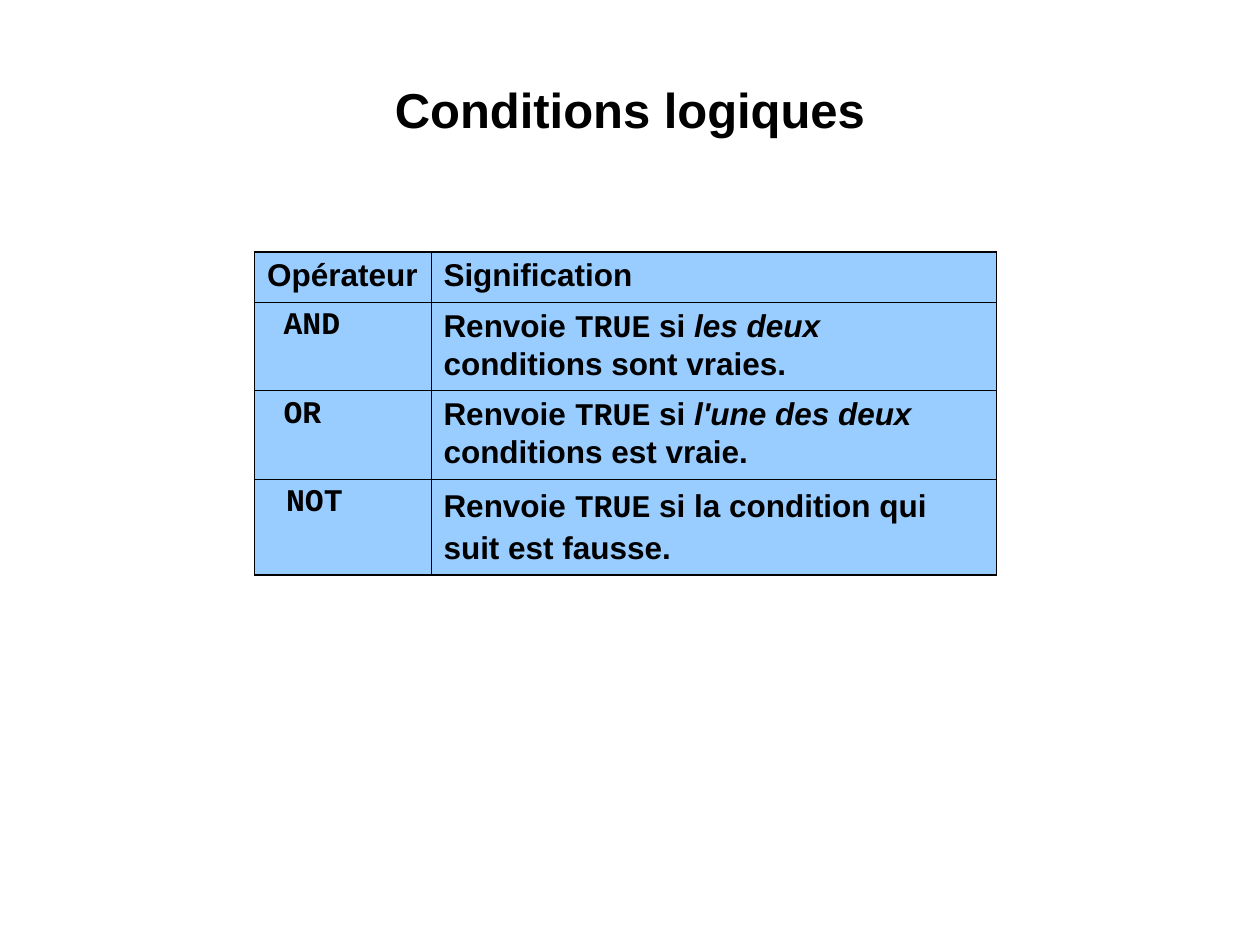
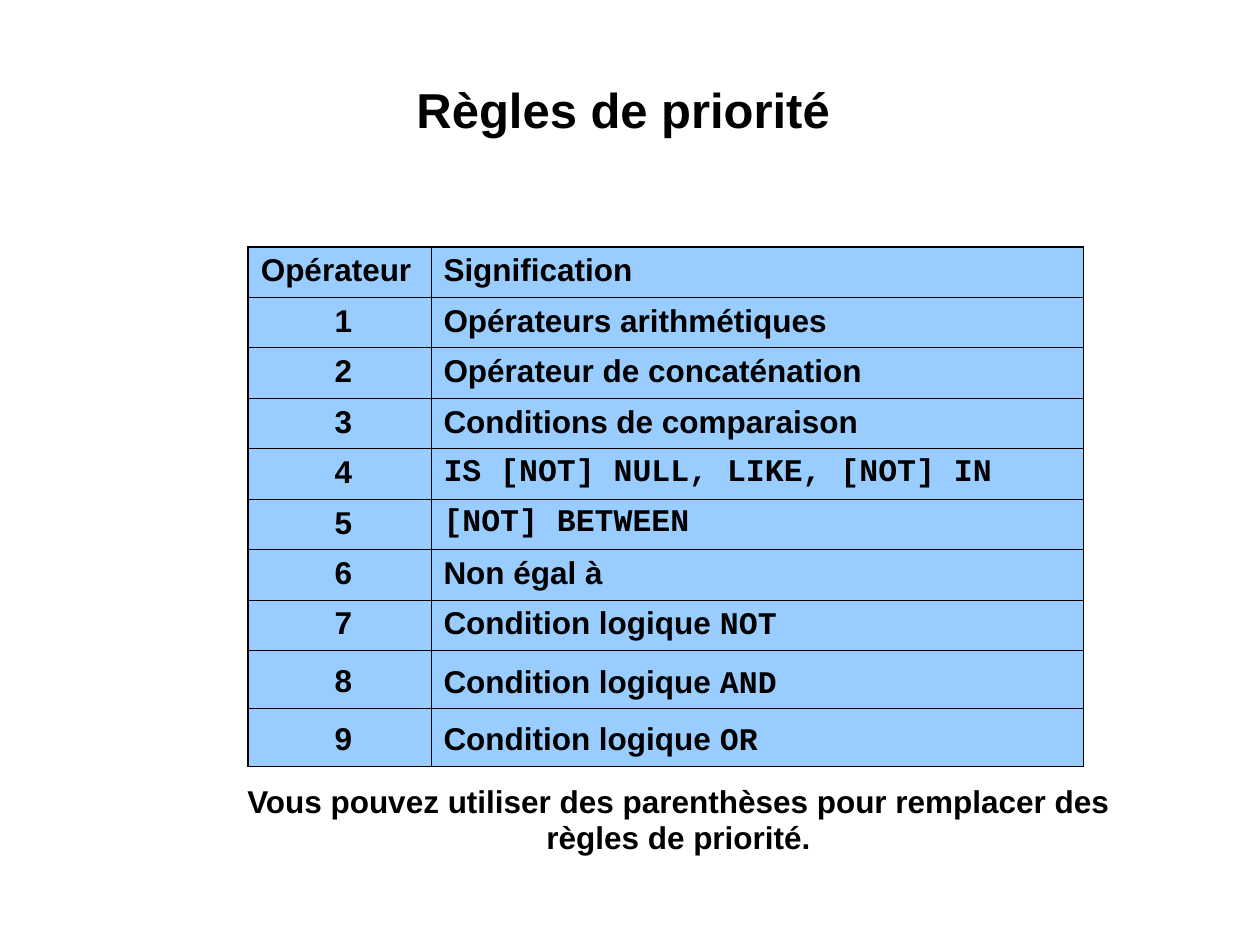
from lxml.etree import SubElement
from pptx import Presentation
from pptx.dml.color import RGBColor
from pptx.enum.text import MSO_ANCHOR, PP_ALIGN
from pptx.oxml.ns import qn
from pptx.util import Inches, Pt

# Character formats used inside the texts
CODE = {"name": "Courier New"}
ITALIC = {"italic": True}
# Paragraph formats
TIGHT = {"space_before": Pt(4.5)}
CENTERED = {"alignment": PP_ALIGN.CENTER}
HEADINGS = ("Opérateur", "Signification")


def rgb(hex_color):
    return RGBColor.from_string(hex_color)


class Deck:
    """Style of the course and the slide being built."""

    INK = "000000"
    CELL_FILL = "99CCFF"
    FONT = {"name": "Arial", "bold": True}
    OUTER, INNER = Pt(1.08), Pt(0.45)

    def __init__(self):
        self.presentation = Presentation()
        self.presentation.slide_width = Inches(10)
        self.presentation.slide_height = Inches(7.5)
        self.slide = None

    def new_slide(self, heading):
        blank = self.presentation.slide_layouts[6]
        self.slide = self.presentation.slides.add_slide(blank)
        self.text_box(heading, (1, 0.58, 8, 0.96), 28,
                      CENTERED | {"space_before": Pt(7)},
                      side_margin=0.01, top_margin=0.05)

    def fill_text(self, frame, content, size, layout):
        """Content is a string or a list of strings and (string, format) pairs."""
        paragraph = frame.paragraphs[0]
        for key, value in layout.items():
            setattr(paragraph, key, value)
        for part in [content] if isinstance(content, str) else content:
            words, extra = (part, {}) if isinstance(part, str) else part
            run = paragraph.add_run()
            run.text = words
            for key, value in (self.FONT | {"size": Pt(size)} | extra).items():
                setattr(run.font, key, value)
            run.font.color.rgb = rgb(self.INK)
        return paragraph

    def text_box(self, content, place, size, layout,
                 side_margin=0.1, top_margin=0.05):
        box = self.slide.shapes.add_textbox(*map(Inches, place))
        frame_format = {
            "word_wrap": True,
            "vertical_anchor": MSO_ANCHOR.TOP,
            "margin_left": Inches(side_margin),
            "margin_right": Inches(side_margin),
            "margin_top": Inches(top_margin),
        }
        for key, value in frame_format.items():
            setattr(box.text_frame, key, value)
        self.fill_text(box.text_frame, content, size, layout)

    def border(self, cell, side, width):
        properties = cell._tc.get_or_add_tcPr()
        line = SubElement(properties, qn(f"a:ln{side}"), w=str(int(width)))
        fill = SubElement(line, qn("a:solidFill"))
        SubElement(fill, qn("a:srgbClr"), val=self.INK)

    def table(self, place, widths, heights, rows):
        """Each row lists (content, layout, indent) for its two cells."""
        left, top = place
        last_row, last_column = len(rows) - 1, len(widths) - 1
        grid = self.slide.shapes.add_table(
            len(rows), len(widths), Inches(left), Inches(top),
            Inches(sum(widths)), Inches(sum(heights))).table
        for column, width in zip(grid.columns, widths):
            column.width = Inches(width)
        for r, (row, height) in enumerate(zip(rows, heights)):
            grid.rows[r].height = Inches(height)
            for c, (content, layout, indent) in enumerate(row):
                cell = grid.cell(r, c)
                paragraph = self.fill_text(cell.text_frame, content, 18, layout)
                if indent:
                    properties = paragraph._p.get_or_add_pPr()
                    properties.set("marL", str(Inches(indent)))
                # Heavy frame and heading rule, thin lines elsewhere
                heavy = {"L": c == 0, "R": c == last_column,
                         "T": r <= 1, "B": r in (0, last_row)}
                for side, is_heavy in heavy.items():
                    self.border(cell, side, self.OUTER if is_heavy else self.INNER)
                cell.fill.solid()
                cell.fill.fore_color.rgb = rgb(self.CELL_FILL)


def heading_row():
    return [(heading, TIGHT, 0) for heading in HEADINGS]


def logical_conditions(deck):
    deck.new_slide("Conditions logiques")
    returns_true = ["Renvoie ", ("TRUE", CODE)]
    loose = {"space_before": Pt(13.5), "line_spacing": 1.1}
    operators = [
        ("AND", 0.13, [" si ", ("les deux", ITALIC), " conditions sont vraies."], TIGHT),
        ("OR", 0.13, [" si ", ("l'une des deux", ITALIC), " conditions est vraie."], TIGHT),
        (" NOT", 0, [" si la condition qui suit est fausse."], loose),
    ]
    rows = [heading_row()]
    for operator, indent, meaning, layout in operators:
        rows.append([([(operator, CODE)], TIGHT, indent),
                     (returns_true + meaning, layout, 0)])
    deck.table((2.02, 2), (1.4, 4.49), (0.4, 0.7, 0.7, 0.76), rows)


def priority_rules(deck):
    deck.new_slide("Règles de priorité ")
    loose = {"space_before": Pt(13.5), "line_spacing": 1.2}
    meanings = [
        "Opérateurs arithmétiques",
        "Opérateur de concaténation",
        "Conditions de comparaison",
        [("IS [NOT] NULL, LIKE, [NOT] IN", CODE)],
        [("[NOT] BETWEEN", CODE)],
        "Non égal à",
    ]
    meanings += [["Condition logique ", (word, CODE)] for word in ("NOT", "AND", "OR")]
    rows = [heading_row()]
    for rank, meaning in enumerate(meanings, start=1):
        layout = loose if rank >= 8 else TIGHT
        rows.append([(f"{rank} ", layout | CENTERED, 0.13), (meaning, layout, 0)])
    deck.table((1.97, 1.96), (1.45, 5.18), [0.4] * 8 + [0.46] * 2, rows)

    # Closing remark under the table
    deck.text_box("Vous pouvez utiliser des parenthèses pour remplacer des "
                  "règles de priorité.", (1.8, 6.18, 7.17, 0.67), 18,
                  CENTERED | {"space_before": Pt(7.9), "line_spacing": 0.95})


def main():
    deck = Deck()
    logical_conditions(deck)
    priority_rules(deck)
    deck.presentation.save("out.pptx")


if __name__ == "__main__":
    main()
